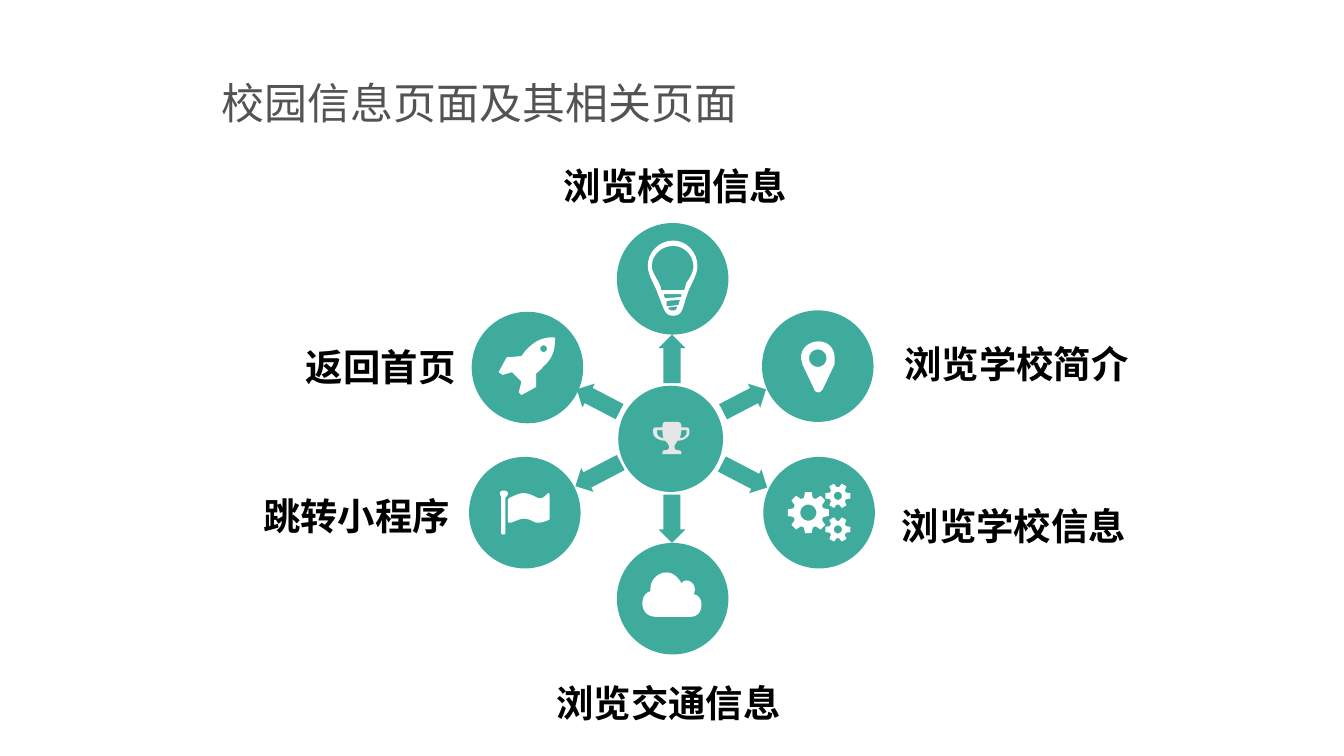
import dataclasses
import math

import pptx
import pptx.dml.color
import pptx.enum.shapes
import pptx.enum.text
import pptx.util

Inches = pptx.util.Inches
SHAPE = pptx.enum.shapes.MSO_SHAPE
ALIGN = pptx.enum.text.PP_ALIGN


@dataclasses.dataclass(frozen=True)
class Theme:
    teal: str = "3FAB9D"
    white: str = "FFFFFF"
    silver: str = "E7E6E6"
    black: str = "000000"
    gray: str = "535353"
    label_size: int = 20
    title_size: int = 23
    label_font: str = "Arial"
    title_font: str = "Noto Sans CJK SC"


THEME = Theme()
DISC = 0.83
HUB = (4.6, 2.87, 0.78, 0.79)


# Icon contours, in hundredths of an inch from the icon's top left corner.
# A pair is a straight line to a point; six numbers are a Bezier curve.
def circle(cx, cy, radius, count=32):
    turns = [math.tau * i / count for i in range(count)]
    return [(cx + radius * math.cos(t), cy + radius * math.sin(t)) for t in turns]


def gear(cx, cy, tip, root, hole, teeth):
    pitch = math.tau / teeth
    profile = [(-0.37, root), (-0.2, tip), (0.2, tip), (0.37, root)]
    rim = [(cx + r * math.cos((i + f) * pitch), cy + r * math.sin((i + f) * pitch))
           for i in range(teeth) for f, r in profile]
    return [rim, circle(cx, cy, hole)]


TROPHY = [
    [(27, 8), (27, 11, 23, 14, 18, 14), (17, 16), (16, 17, 16, 17, 16, 19),
     (16, 19, 16, 21, 18, 21), (19, 21, 21, 21, 21, 23), (21, 24), (7, 24), (7, 23),
     (7, 21, 8, 21, 10, 21), (11, 21, 12, 19, 12, 19), (12, 17, 11, 17, 11, 16),
     (9, 14), (4, 14, 0, 11, 0, 8), (0, 6), (0, 5, 1, 4, 2, 4), (7, 4), (7, 3),
     (7, 1, 8, 0, 9, 0), (18, 0), (20, 0, 21, 1, 21, 3), (21, 4), (25, 4),
     (26, 4, 27, 5, 27, 6)],
    [(7, 6), (3, 6), (3, 8), (3, 10, 5, 12, 8, 12), (7, 11, 7, 9, 7, 6)],
    [(25, 6), (21, 6), (21, 9, 20, 11, 20, 12), (23, 12, 25, 10, 25, 8)],
]
BULB = [
    [(19, 0), (8, 0, 0, 9, 0, 19), (0, 26, 6, 34, 8, 41), (12, 50, 12, 56, 19, 56),
     (26, 56, 26, 50, 29, 41), (31, 34, 37, 26, 37, 19), (37, 9, 29, 0, 19, 0)],
    [(27, 37), (10, 37), (10, 35, 9, 33, 8, 31), (6, 27, 3, 23, 3, 19),
     (3, 11, 10, 4, 19, 4), (27, 4, 34, 11, 34, 19), (34, 23, 32, 27, 29, 31),
     (28, 33, 28, 35, 27, 37)],
    [(13, 43), (13, 43, 12, 42, 12, 40), (25, 40), (25, 42)],
    [(23, 48), (14, 49), (14, 45), (24, 44), (24, 45, 23, 46, 23, 48)],
    [(19, 52), (17, 52, 16, 52, 15, 50), (22, 49), (21, 52, 21, 52, 19, 52)],
]
PIN = [
    [(25, 17), (16, 36), (15, 37, 14, 38, 13, 38), (12, 38, 10, 37, 10, 36), (1, 17),
     (1, 15, 0, 14, 0, 12), (0, 5, 6, 0, 13, 0), (20, 0, 25, 5, 25, 12),
     (25, 14, 25, 15, 25, 17)],
    circle(12.5, 12.5, 6.5),
]
ROCKET = [
    [(33, 22), (32, 24, 30, 25, 28, 27), (28, 37), (17, 43), (15, 41), (17, 33),
     (10, 26), (3, 28), (0, 26), (6, 15), (17, 14), (18, 13, 19, 11, 21, 9),
     (27, 3, 32, 0, 41, 0), (42, 0, 42, 1, 42, 1), (42, 10, 40, 16, 33, 22)],
    circle(33.5, 8.5, 2.5),
]
CLOUD = [
    [(36, 33), (10, 33), (4, 33, 0, 29, 0, 23), (0, 19, 2, 15, 6, 14), (6, 12),
     (6, 6, 11, 0, 18, 0), (23, 0, 27, 4, 29, 8), (30, 7, 31, 6, 33, 6),
     (36, 6, 39, 9, 39, 12), (39, 14, 39, 15, 38, 16), (42, 17, 44, 20, 44, 24),
     (44, 29, 41, 33, 36, 33)],
]
FLAG = [
    [(4, 5), (4, 32), (4, 33, 1, 33, 1, 32), (1, 5), (1, 5, 0, 3, 0, 2),
     (0, 1, 1, 0, 3, 0), (4, 0, 6, 1, 6, 2), (6, 3, 5, 5, 4, 5)],
    [(37, 20), (37, 21, 37, 22, 36, 22), (34, 23, 31, 24, 28, 24),
     (25, 24, 23, 21, 18, 21), (15, 21, 11, 23, 8, 24), (7, 24, 6, 24, 6, 23), (6, 7),
     (6, 6, 8, 5, 8, 5), (11, 4, 14, 2, 17, 2), (21, 2, 23, 3, 27, 5),
     (32, 8, 35, 2, 36, 2), (37, 2, 37, 3, 37, 4)],
]
GEARS = (gear(15.5, 21.5, 15.5, 11.5, 6, 8) + gear(37.5, 9, 9.5, 6.5, 3, 6)
         + gear(37.5, 34, 9.5, 6.5, 3, 6))

# Disc corner, icon corner, icon
NODES = [
    ((4.59, 1.66), (4.82, 1.79), BULB),
    ((5.67, 2.31), (5.96, 2.54), PIN),
    ((3.51, 2.32), (3.71, 2.51), ROCKET),
    ((4.59, 4.04), (4.78, 4.26), CLOUD),
    ((3.49, 3.4), (3.72, 3.65), FLAG),
    ((5.68, 3.4), (5.86, 3.6), GEARS),
]
# Left, top, length, clockwise turn from pointing down
ARROWS = [
    (5.44, 2.8, 0.36, 242.5),
    (4.35, 3.34, 0.38, 62.5),
    (4.9, 2.49, 0.36, 180),
    (4.35, 2.8, 0.36, 117.5),
    (4.9, 3.68, 0.36, 0),
    (5.44, 3.35, 0.38, 297.5),
]
LABELS = [
    ("返回首页", 2.24, 2.51, 1.15, ALIGN.RIGHT),
    ("跳转小程序", 1.91, 3.62, 1.44, ALIGN.RIGHT),
    ("浏览学校简介", 6.73, 2.49, 1.73, ALIGN.LEFT),
    ("浏览学校信息", 6.71, 3.69, 1.73, ALIGN.LEFT),
    ("浏览校园信息", 4.13, 1.16, 1.73, ALIGN.RIGHT),
    ("浏览交通信息", 4.14, 5.01, 1.78, ALIGN.LEFT),
]


def rgb(color):
    return pptx.dml.color.RGBColor.from_string(color)


def paint(shape, color):
    shape.shadow.inherit = False
    shape.fill.solid()
    shape.fill.fore_color.rgb = rgb(color)
    shape.line.fill.background()


def trace(contour, steps=8):
    points = [contour[0]]
    for part in contour[1:]:
        if len(part) == 2:
            points.append(part)
            continue
        curve = [points[-1], part[:2], part[2:4], part[4:]]
        for i in range(1, steps + 1):
            t = i / steps
            weights = ((1 - t) ** 3, 3 * t * (1 - t) ** 2, 3 * t * t * (1 - t), t ** 3)
            points.append(tuple(sum(w * p[axis] for w, p in zip(weights, curve))
                                for axis in (0, 1)))
    return [(Inches(x / 100), Inches(y / 100)) for x, y in points]


def add_icon(shapes, corner, contours, color):
    outlines = [trace(contour) for contour in contours]
    builder = shapes.build_freeform(*outlines[0][0])
    for number, outline in enumerate(outlines):
        if number:
            builder.move_to(*outline[0])
        builder.add_line_segments(outline[1:], close=True)
    paint(builder.convert_to_shape(*map(Inches, corner)), color)


def add_badge(slide, disc_box, icon_corner, icon, icon_color):
    members = slide.shapes.add_group_shape().shapes
    paint(members.add_shape(SHAPE.OVAL, *map(Inches, disc_box)), THEME.teal)
    add_icon(members, icon_corner, icon, icon_color)


def add_arrow(slide, left, top, length, turn):
    arrow = slide.shapes.add_shape(SHAPE.DOWN_ARROW, *map(Inches, (left, top, 0.2, length)))
    arrow.adjustments[0] = 0.635
    arrow.adjustments[1] = 0.5
    arrow.rotation = turn
    paint(arrow, THEME.teal)


def add_text(slide, words, box, font, color, align=ALIGN.LEFT, spacing=1.0, inset=0):
    frame = slide.shapes.add_textbox(*map(Inches, box)).text_frame
    line = frame.paragraphs[0]
    run = line.add_run()
    run.text = words
    formats = {
        frame: {"word_wrap": False, "margin_left": Inches(inset), "margin_right": 0,
                "margin_top": 0, "margin_bottom": 0,
                "auto_size": pptx.enum.text.MSO_AUTO_SIZE.SHAPE_TO_FIT_TEXT,
                "vertical_anchor": pptx.enum.text.MSO_ANCHOR.MIDDLE},
        line: {"alignment": align, "line_spacing": spacing},
        run.font: font,
    }
    for target, values in formats.items():
        for name, value in values.items():
            setattr(target, name, value)
    run.font.color.rgb = rgb(color)


def main():
    deck = pptx.Presentation()
    deck.slide_width = Inches(10)
    deck.slide_height = Inches(10 * 9 / 16)
    slide = deck.slides.add_slide(deck.slide_layouts[6])

    # Hub, arrows and surrounding nodes
    add_badge(slide, HUB, (4.86, 3.14), TROPHY, THEME.silver)
    for arrow in ARROWS:
        add_arrow(slide, *arrow)
    for disc_corner, icon_corner, icon in NODES:
        add_badge(slide, (*disc_corner, DISC, DISC), icon_corner, icon, THEME.white)

    # Node labels
    label_font = {"name": THEME.label_font, "size": pptx.util.Pt(THEME.label_size), "bold": True}
    for words, left, top, width, align in LABELS:
        add_text(slide, words, (left, top, width, 0.37), label_font, THEME.black, align, 1.2)

    # Title
    title_font = {"name": THEME.title_font, "size": pptx.util.Pt(THEME.title_size), "bold": False}
    add_text(slide, "校园信息页面及其相关页面", (1.54, 0.53, 4.06, 0.46), title_font,
             THEME.gray, inset=0.11)

    deck.save("out.pptx")


if __name__ == "__main__":
    main()
